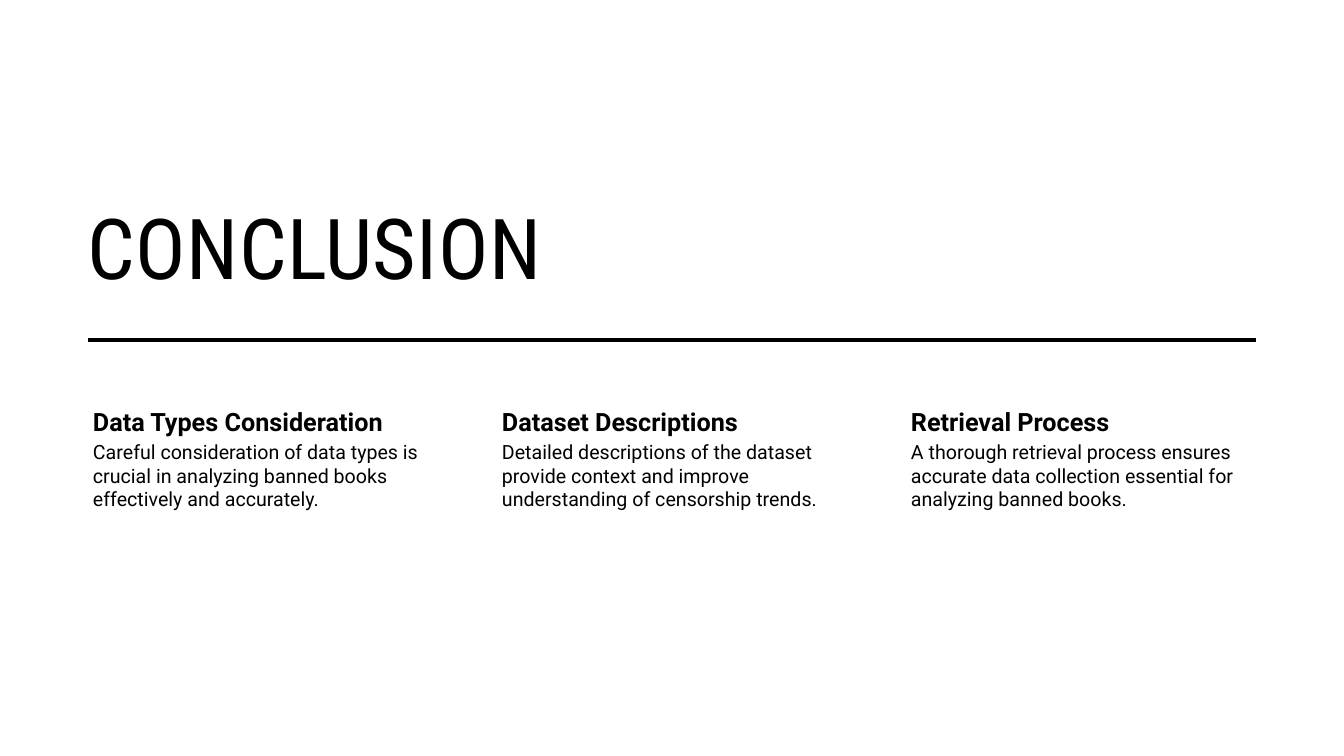
from pptx import Presentation
from pptx.dml.color import RGBColor
from pptx.enum.shapes import MSO_CONNECTOR
from pptx.enum.text import MSO_ANCHOR
from pptx.oxml.ns import qn
from pptx.util import Pt
from lxml.etree import SubElement

EMU_PER_PX = 914400 / 100.8


def px(length):
    return round(length * EMU_PER_PX)


def color(value):
    return RGBColor.from_string(value)


class ConclusionSlide:
    ink = "000000"
    title_font = "Roboto Condensed"
    body_font = "Roboto"

    def __init__(self, presentation):
        self.slide = presentation.slides.add_slide(presentation.slide_layouts[6])

    def text(self, wording, box, insets, font, size, bold=False, anchor=MSO_ANCHOR.TOP):
        frame = self.slide.shapes.add_textbox(*map(px, box)).text_frame
        frame.word_wrap = True
        frame.vertical_anchor = anchor
        (frame.margin_left, frame.margin_top,
         frame.margin_right, frame.margin_bottom) = map(px, insets)
        paragraph = frame.paragraphs[0]
        paragraph.text = wording
        paragraph.font.name = font
        paragraph.font.size = Pt(size)
        paragraph.font.bold = bold
        paragraph.font.color.rgb = color(self.ink)
        return paragraph

    def title(self, wording):
        heading = self.text(wording, (78, 141, 881, 155), (10, 5, 10, 0),
                            self.title_font, 60, anchor=MSO_ANCHOR.BOTTOM)
        heading.runs[0].font._element.set("spc", "30")

    def rule(self, left, right, y):
        line = self.slide.shapes.add_connector(
            MSO_CONNECTOR.STRAIGHT, px(left), px(y), px(right), px(y))
        line.line.color.rgb = color(self.ink)
        line.line.width = Pt(3.5)
        SubElement(line._element.spPr, qn("a:effectLst"))

    def takeaway(self, left, topic, summary):
        self.text(topic, (left, 403, 372, 35), (15, 3, 3, 3), self.body_font, 18, bold=True)
        self.text(summary, (left, 438, 372, 236), (15, 2, 2, 2), self.body_font, 14)


def main():
    presentation = Presentation()
    presentation.slide_width = px(1344)
    presentation.slide_height = px(756)

    conclusion = ConclusionSlide(presentation)
    conclusion.title("CONCLUSION")
    takeaways = [
        ("Data Types Consideration",
         "Careful consideration of data types is crucial in analyzing banned books "
         "effectively and accurately."),
        ("Dataset Descriptions",
         "Detailed descriptions of the dataset provide context and improve "
         "understanding of censorship trends."),
        ("Retrieval Process",
         "A thorough retrieval process ensures accurate data collection essential for "
         "analyzing banned books."),
    ]
    for column, (topic, summary) in enumerate(takeaways):
        conclusion.takeaway(78 + 409 * column, topic, summary)
    conclusion.rule(88, 1256, 340)

    presentation.save("out.pptx")


if __name__ == "__main__":
    main()
